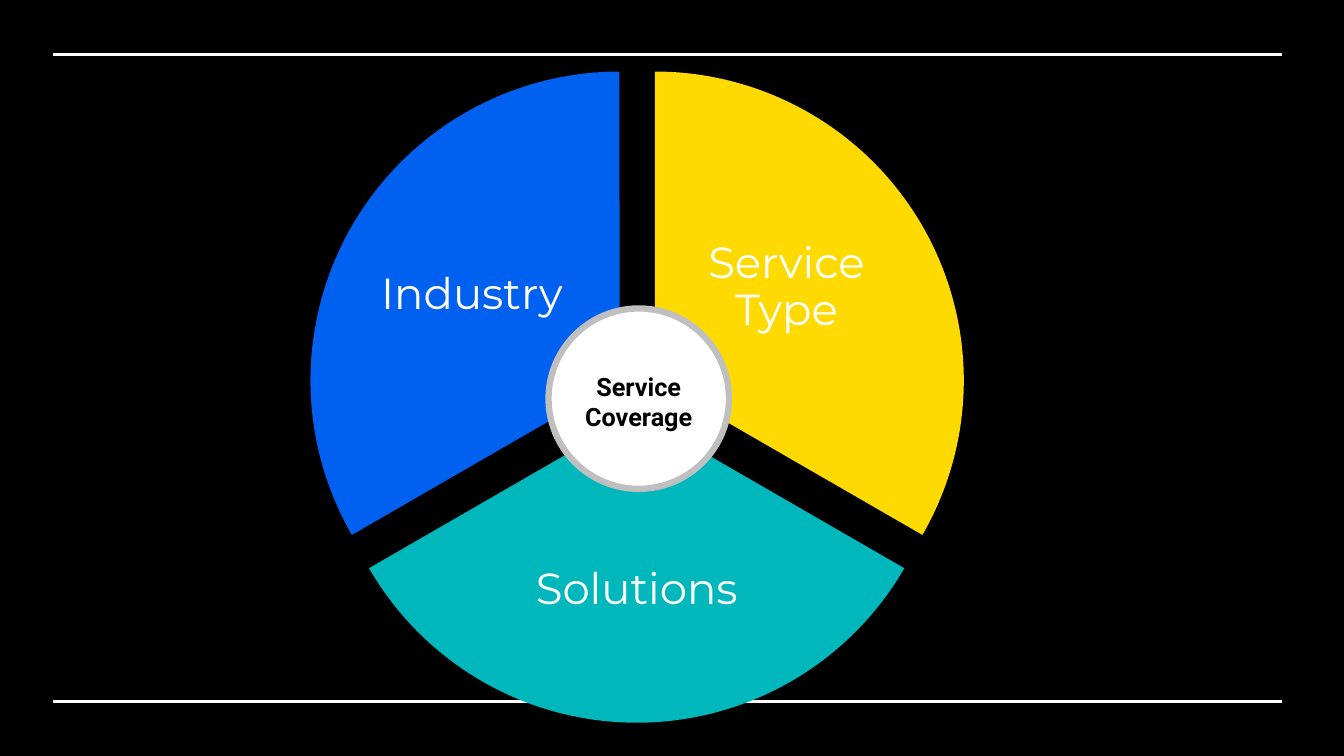
from dataclasses import dataclass

from lxml import etree
from pptx import Presentation
from pptx.dml.color import RGBColor
from pptx.enum.shapes import MSO_CONNECTOR, MSO_SHAPE
from pptx.enum.text import MSO_ANCHOR, PP_ALIGN
from pptx.oxml.ns import qn
from pptx.util import Inches, Pt

STRAIGHT = MSO_CONNECTOR.STRAIGHT
RECTANGLE, PIE, OVAL = MSO_SHAPE.RECTANGLE, MSO_SHAPE.PIE, MSO_SHAPE.OVAL
MIDDLE = MSO_ANCHOR.MIDDLE
LEFT, CENTER = PP_ALIGN.LEFT, PP_ALIGN.CENTER


@dataclass(frozen=True)
class Theme:
    black: str = "000000"
    white: str = "FFFFFF"
    yellow: str = "FEDA00"
    teal: str = "00B8BC"
    blue: str = "0061F0"
    ring: str = "BFBFBF"
    label_font: str = "Montserrat"
    hub_font: str = "Roboto"
    label_size: int = 31
    hub_size: int = 18
    rule_width: float = 2.25
    ring_width: float = 4.5


THEME = Theme()
SLIDE_WIDTH, SLIDE_HEIGHT = 13.33, 7.5
PIE_SIZE = 6.13
INSET = 0.04
ADJUSTMENT_PER_DEGREE = 0.6

SECTORS = [
    ("Service Type", THEME.yellow, (3.43, 0.71), (270, 30), (6.76, 1.84, 2.08, 2.04), CENTER),
    ("Solutions", THEME.teal, (3.25, 1.04), (30, 150), (4.93, 4.91, 2.77, 1.9), CENTER),
    ("Industry", THEME.blue, (3.08, 0.71), (150, 270), (3.74, 1.91, 2.08, 2.04), LEFT),
]


def add_filled_shape(shapes, kind, box, color):
    shape = shapes.add_shape(kind, *(Inches(length) for length in box))
    shape.shadow.inherit = False
    shape.fill.solid()
    shape.fill.fore_color.rgb = RGBColor.from_string(color)
    shape.line.fill.background()
    return shape


def add_rule(shapes, top):
    rule = shapes.add_connector(
        STRAIGHT, Inches(0.53), Inches(top), Inches(12.72), Inches(top)
    )
    rule.line.color.rgb = RGBColor.from_string(THEME.white)
    rule.line.width = Pt(THEME.rule_width)
    etree.SubElement(rule._element.spPr, qn("a:effectLst"))


def write_text(shape, text, font_name, size, color, alignment=CENTER, bold=False):
    frame = shape.text_frame
    frame.text = text
    frame.word_wrap = True
    frame.vertical_anchor = MIDDLE
    frame.margin_left = frame.margin_right = Inches(INSET)
    frame.margin_top = frame.margin_bottom = Inches(INSET)
    paragraph = frame.paragraphs[0]
    paragraph.alignment = alignment
    font = paragraph.runs[0].font
    font.name = font_name
    font.size = Pt(size)
    font.bold = bold
    font.color.rgb = RGBColor.from_string(color)


def add_sector(shapes, label, color, corner, angles, label_box, alignment):
    sector = add_filled_shape(shapes, PIE, (*corner, PIE_SIZE, PIE_SIZE), color)
    for index, angle in enumerate(angles):
        sector.adjustments[index] = angle * ADJUSTMENT_PER_DEGREE
    textbox = shapes.add_textbox(*(Inches(length) for length in label_box))
    write_text(textbox, label, THEME.label_font, THEME.label_size, THEME.white, alignment)
    textbox.text_frame.paragraphs[0].line_spacing = 0.9


def add_hub(shapes, label):
    hub = add_filled_shape(shapes, OVAL, (5.44, 3.06, 1.79, 1.79), THEME.white)
    hub.line.color.rgb = RGBColor.from_string(THEME.ring)
    hub.line.width = Pt(THEME.ring_width)
    write_text(hub, label, THEME.hub_font, THEME.hub_size, THEME.black, bold=True)
    hub.text_frame.margin_top = Inches(0.1)


def main():
    presentation = Presentation()
    presentation.slide_width = Inches(SLIDE_WIDTH)
    presentation.slide_height = Inches(SLIDE_HEIGHT)
    slide = presentation.slides.add_slide(presentation.slide_layouts[6])

    add_filled_shape(slide.shapes, RECTANGLE, (0, 0, SLIDE_WIDTH, SLIDE_HEIGHT), THEME.black)
    for top in (0.54, 6.96):
        add_rule(slide.shapes, top)

    wheel = slide.shapes.add_group_shape()
    for sector in SECTORS:
        add_sector(wheel.shapes, *sector)
    add_hub(wheel.shapes, "Service Coverage")

    presentation.save("out.pptx")


if __name__ == "__main__":
    main()
